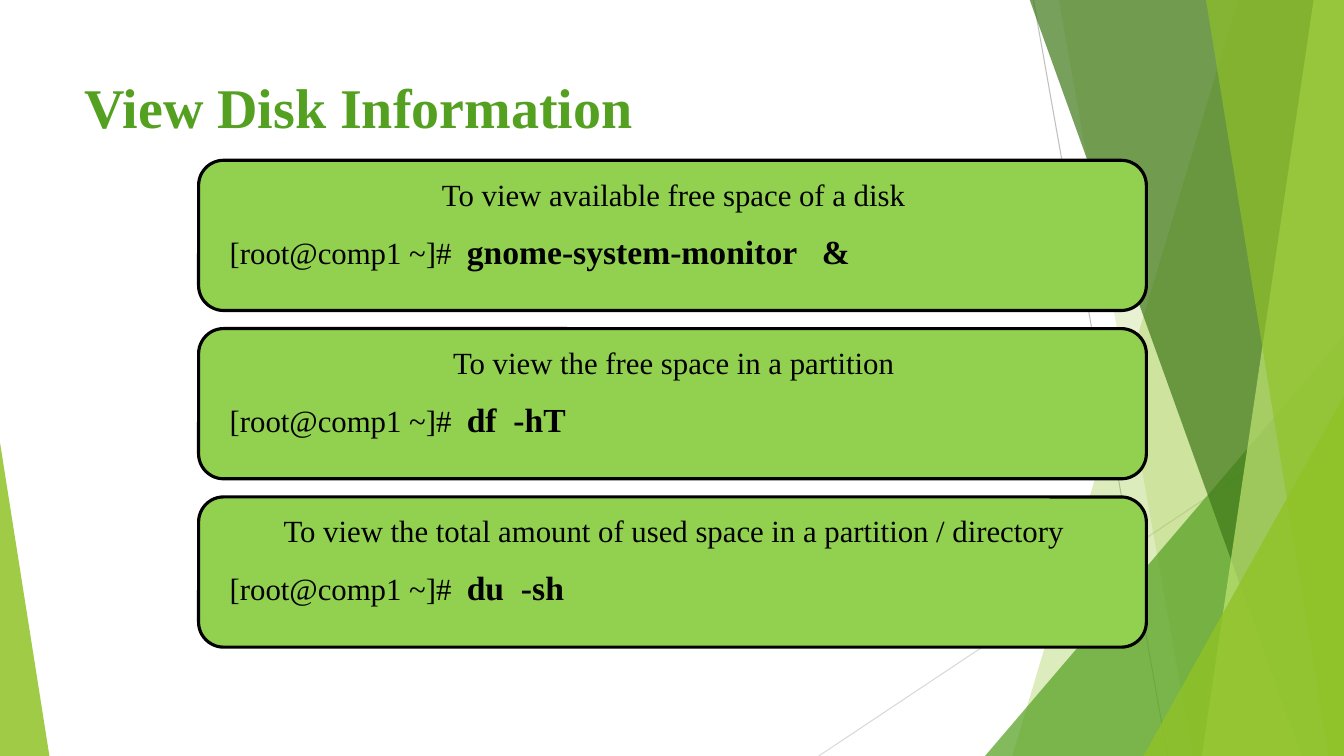
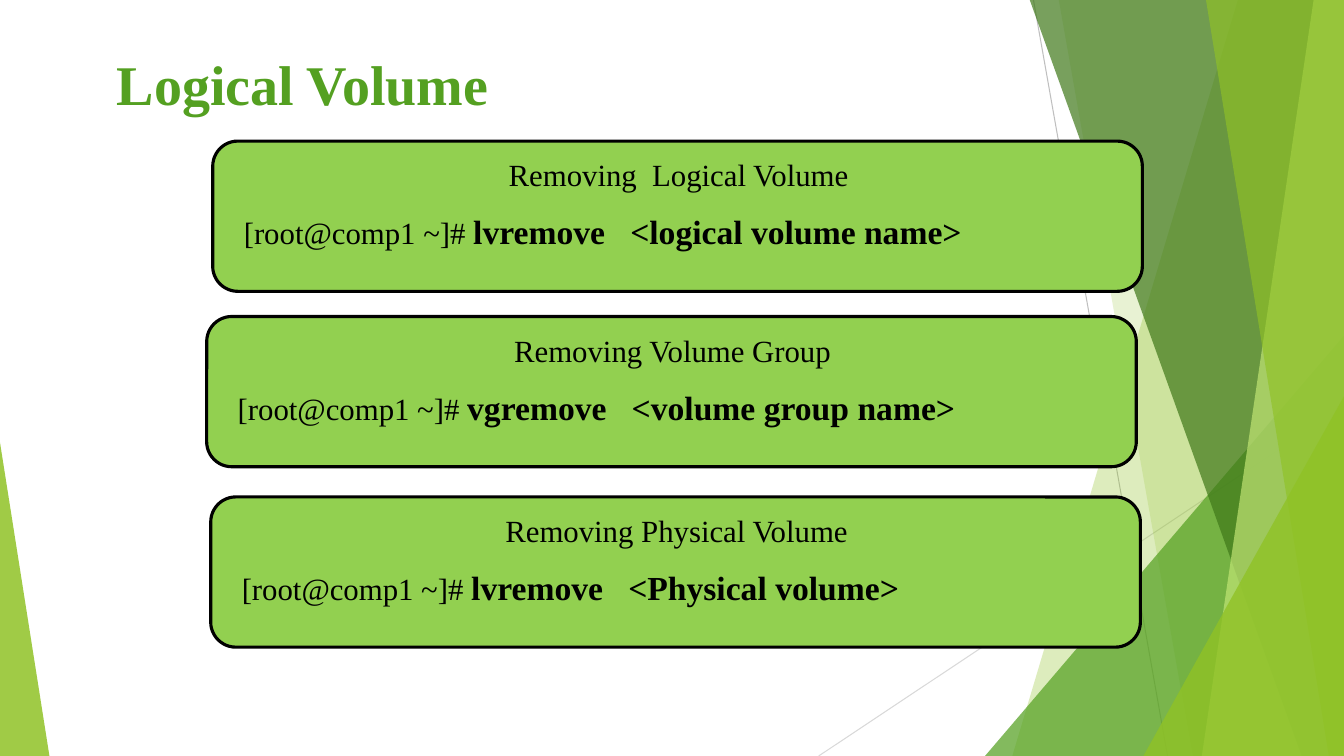
import pptx
import pptx.dml.color
import pptx.enum.shapes
import pptx.enum.text
import pptx.oxml
import pptx.oxml.ns
import pptx.util

Inches = pptx.util.Inches
Pt = pptx.util.Pt
RGBColor = pptx.dml.color.RGBColor
MSO_SHAPE = pptx.enum.shapes.MSO_SHAPE
PP_ALIGN = pptx.enum.text.PP_ALIGN
qn = pptx.oxml.ns.qn

# Theme
FONT = "Times New Roman"
LEAF = RGBColor(0x90, 0xC2, 0x26)
GREEN = RGBColor(0x54, 0xA0, 0x21)
DARK_GREEN = RGBColor(0x3F, 0x78, 0x19)
LIME = RGBColor(0xC0, 0xE4, 0x74)
CARD_GREEN = RGBColor(0x92, 0xD0, 0x50)
BLACK = RGBColor(0, 0, 0)
GREY = RGBColor(0xBF, 0xBF, 0xBF)
LIGHT_GREY = RGBColor(0xD9, 0xD9, 0xD9)

SLIDE_W, SLIDE_H = 13.33, 7.5
BAND_TOP = -0.01
CARD_H = 1.49


# Background decoration
def add_hairline(shapes, x1, y1, x2, y2, color):
    line = shapes.add_connector(
        pptx.enum.shapes.MSO_CONNECTOR.STRAIGHT,
        Inches(x1), Inches(y1), Inches(x2), Inches(y2))
    line.line.color.rgb = color
    line.line.width = Pt(0.75)
    pptx.oxml.ns  # namespace helpers
    line.element.spPr.append(line.element.spPr.makeelement(qn("a:effectLst"), {}))


def paint(sp, color, opacity):
    """Fill a borderless shape with a translucent colour."""
    sp.shadow.inherit = False
    sp.fill.solid()
    sp.fill.fore_color.rgb = color
    clr = sp.element.spPr.find(qn("a:solidFill")).find(qn("a:srgbClr"))
    clr.append(clr.makeelement(qn("a:alpha"), {"val": str(opacity * 1000)}))
    sp.line.fill.background()


def add_band(shapes, top_x, bottom_x, color, opacity):
    """Band from a slanted left edge to the right side of the slide."""
    corners = [(SLIDE_W, BAND_TOP), (SLIDE_W, SLIDE_H), (bottom_x, SLIDE_H)]
    builder = shapes.build_freeform(Inches(top_x), Inches(BAND_TOP))
    builder.add_line_segments([(Inches(x), Inches(y)) for x, y in corners])
    paint(builder.convert_to_shape(), color, opacity)


def add_corner(shapes, left, top, width, apex, color, opacity):
    """Right triangle standing on the bottom edge of the slide."""
    sp = shapes.add_shape(MSO_SHAPE.ISOSCELES_TRIANGLE, Inches(left), Inches(top),
                          Inches(width), Inches(SLIDE_H - top))
    sp.adjustments[0] = apex
    paint(sp, color, opacity)


def decorate_layout(layout, slide):
    """Draw the decoration as a group and move it to the shared layout."""
    group = slide.shapes.add_group_shape()
    shapes = group.shapes
    add_hairline(shapes, 10.25, 0, 11.58, SLIDE_H, GREY)
    add_hairline(shapes, SLIDE_W, 4.03, 8.12, SLIDE_H, LIGHT_GREY)
    add_band(shapes, 12.28, 10.04, LEAF, 30)
    add_band(shapes, 10.5, 11.83, LEAF, 20)
    add_corner(shapes, 9.77, 3.33, 3.56, 1, GREEN, 72)
    add_band(shapes, 10.21, 12.91, DARK_GREEN, 70)
    add_band(shapes, 13.03, 11.92, LIME, 70)
    add_band(shapes, 11.96, 13.18, LEAF, 65)
    add_corner(shapes, 11.34, 3.93, 1.99, 1, LEAF, 80)
    add_corner(shapes, 0, 4.39, 0.49, 0, LEAF, 85)
    layout.shapes.element.append(group.element)


# Text
def add_text(shapes, left, top, width, height, runs, color=BLACK):
    """Add one paragraph of (text, size, bold) runs and return it."""
    box = shapes.add_textbox(Inches(left), Inches(top), Inches(width), Inches(height))
    tf = box.text_frame
    tf.word_wrap = True
    p = tf.paragraphs[0]
    for text, size, bold in runs:
        r = p.add_run()
        r.text = text
        r.font.name = FONT
        r.font.size = Pt(size)
        r.font.bold = bold
        r.font.color.rgb = color
    return p


def add_title(slide, left, top, text):
    add_text(slide.shapes, left, top, 9.4, 1.44, [(text, 40, True)], GREEN)


def add_card(slide, left, top, width, heading, prompt, command):
    """Rounded card with a centred heading above a shell command."""
    shapes = slide.shapes.add_group_shape().shapes
    sp = shapes.add_shape(MSO_SHAPE.ROUNDED_RECTANGLE, Inches(left), Inches(top),
                          Inches(width), Inches(CARD_H))
    sp.shadow.inherit = False
    sp.fill.solid()
    sp.fill.fore_color.rgb = CARD_GREEN
    sp.line.color.rgb = BLACK
    sp.line.width = Pt(2.25)

    text_w = width - 0.38
    p = add_text(shapes, left + 0.2, top + 0.1, text_w, 0.47, [(heading, 22, False)])
    p.alignment = PP_ALIGN.CENTER
    p = add_text(shapes, left + 0.21, top + 0.63, text_w, 0.52,
                 [(prompt, 22, False), (command, 24, True)])
    p.line_spacing = Pt(30)


# Slides
def build_disk_slide(slide):
    add_title(slide, 0.74, 0.67, "View Disk Information")
    cards = [
        ("To view available free space of a disk", "gnome-system-monitor   &"),
        ("To view the free space in a partition", "df  -hT"),
        ("To view the total amount of used space in a partition / directory",
         "du  -sh"),
    ]
    for i, (heading, command) in enumerate(cards):
        add_card(slide, 1.97, 1.59 + 1.67 * i, 9.4, heading,
                 "[root@comp1 ~]#  ", command)


def build_volume_slide(slide):
    add_title(slide, 1.06, 0.44, "Logical Volume")
    cards = [
        (2.11, 1.4, "Removing  Logical Volume", "lvremove   <logical volume name>"),
        (2.05, 3.14, "Removing Volume Group", "vgremove   <volume group name>"),
        (2.09, 4.93, "Removing Physical Volume", "lvremove   <Physical volume>"),
    ]
    for left, top, heading, command in cards:
        add_card(slide, left, top, 9.22, heading, "[root@comp1 ~]# ", command)


def main():
    prs = pptx.Presentation()
    prs.slide_width = Inches(SLIDE_W)
    prs.slide_height = Inches(SLIDE_H)
    blank = prs.slide_layouts[6]
    disk_slide = prs.slides.add_slide(blank)
    volume_slide = prs.slides.add_slide(blank)
    decorate_layout(blank, disk_slide)
    build_disk_slide(disk_slide)
    build_volume_slide(volume_slide)
    prs.save("out.pptx")


if __name__ == "__main__":
    main()
